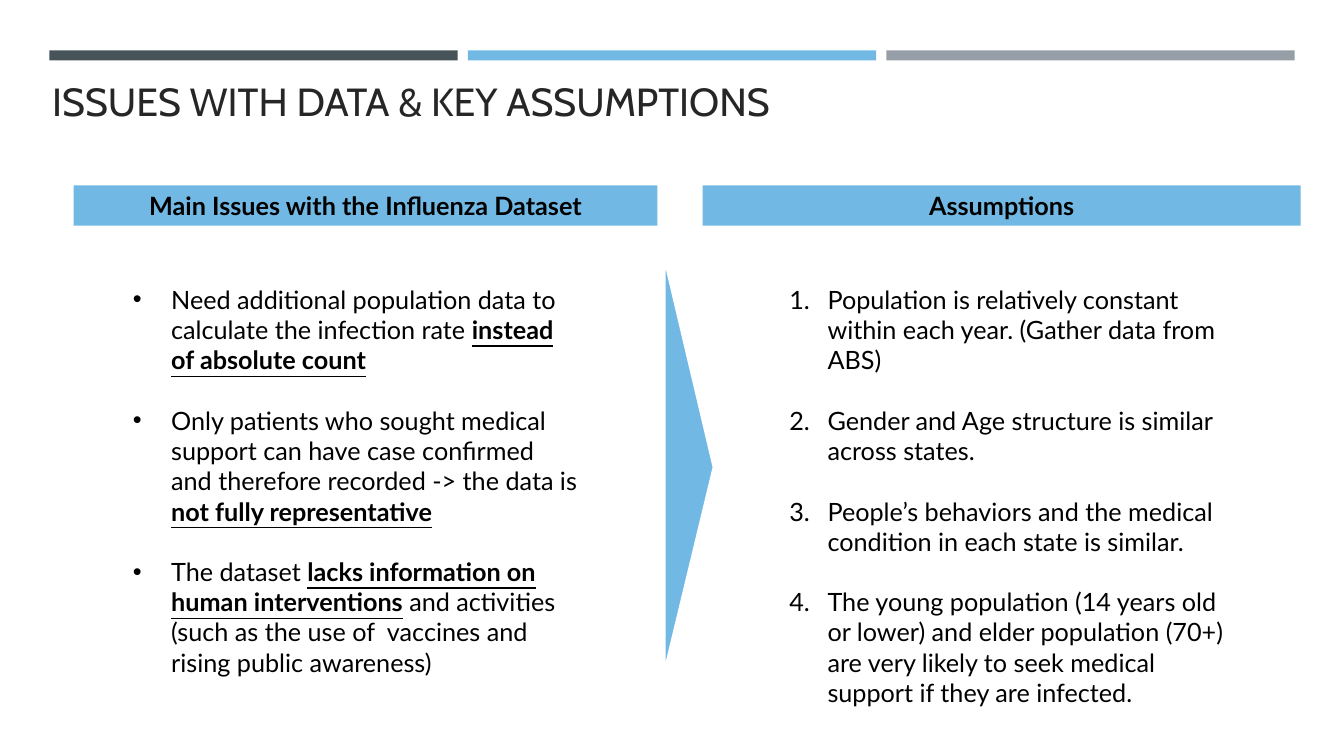
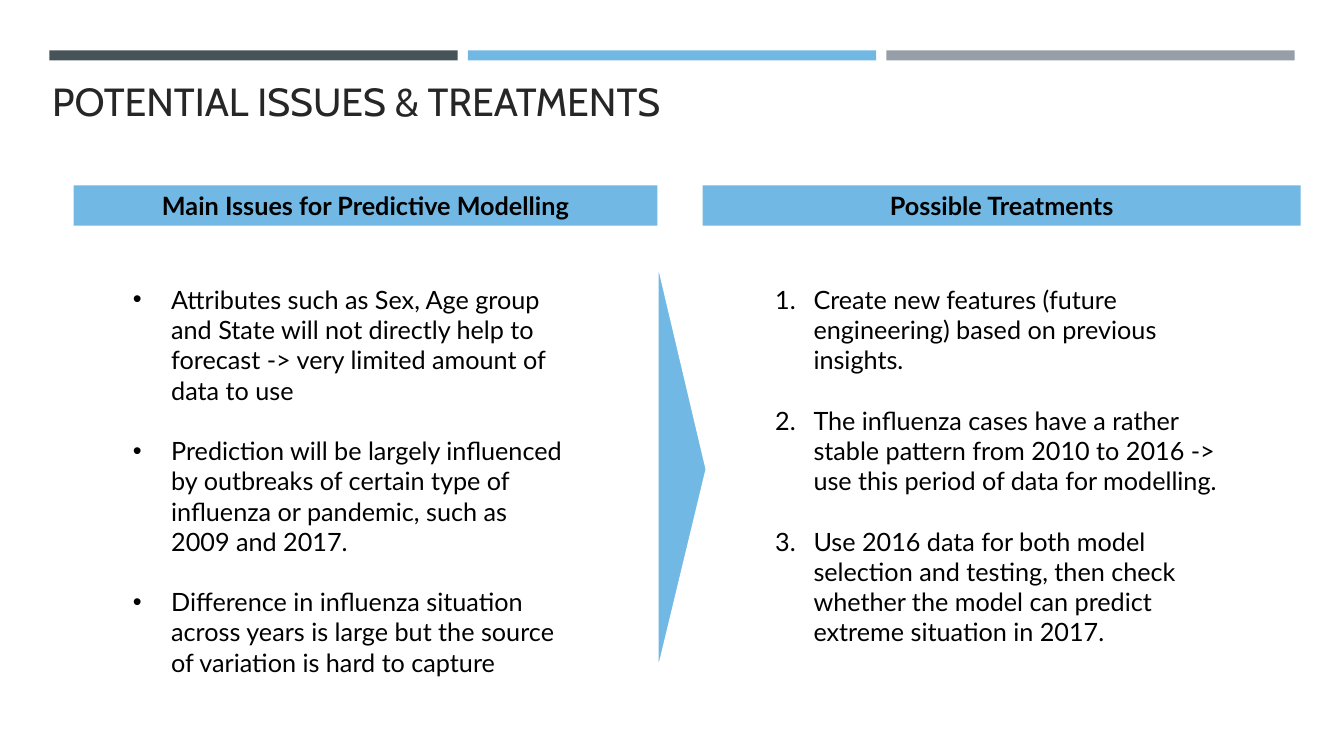
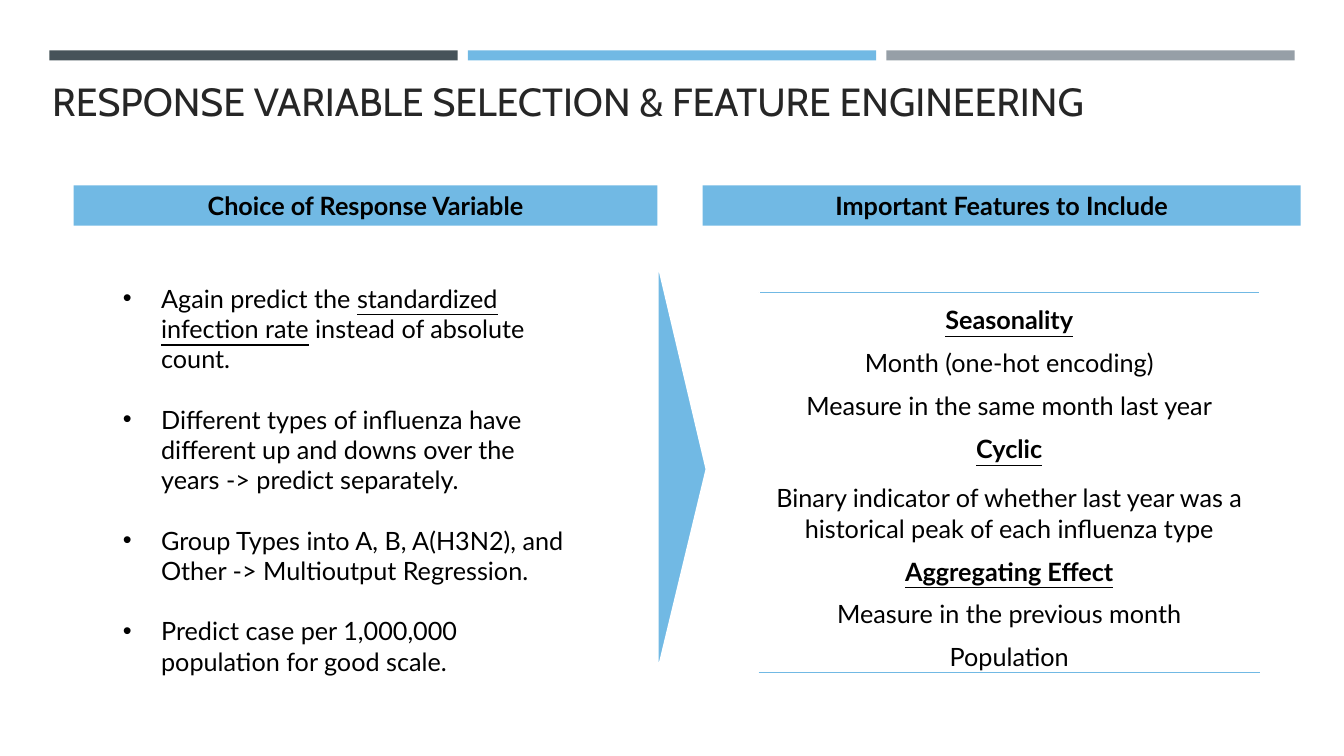
from dataclasses import dataclass

from lxml import etree
from pptx import Presentation
from pptx.dml.color import RGBColor
from pptx.enum.shapes import MSO_SHAPE
from pptx.enum.text import MSO_ANCHOR, PP_ALIGN
from pptx.oxml.ns import qn
from pptx.shapes.autoshape import Shape
from pptx.slide import Slide
from pptx.table import _Cell
from pptx.text.text import _Paragraph, _Run
from pptx.util import Inches, Pt

RECTANGLE = MSO_SHAPE.RECTANGLE
TRIANGLE = MSO_SHAPE.ISOSCELES_TRIANGLE
TOP, MIDDLE, BOTTOM = MSO_ANCHOR.TOP, MSO_ANCHOR.MIDDLE, MSO_ANCHOR.BOTTOM
LEFT, CENTER = PP_ALIGN.LEFT, PP_ALIGN.CENTER

TITLE_FONT, BODY_FONT = "Cabin", "Lato"
SLATE, BLUE, GREY = "465359", "71B9E4", "969FA7"
WHITE, BLACK, TITLE_COLOUR = "FFFFFF", "000000", "262626"

BAND_LEFT, BAND_TOP, BAND_WIDTH, BAND_HEIGHT, BAND_STEP = 0.49, 0.5, 4.05, 0.1, 4.15
HEADER_TOP, HEADER_HEIGHT = 1.84, 0.4
ARROW_WIDTH, ARROW_HEIGHT = 4.11, 0.49
LIST_INDENT = 0.38
ITEM_GAP = 21.6


@dataclass(frozen=True)
class Box:
    left: float
    top: float
    width: float
    height: float


@dataclass(frozen=True)
class Span:
    text: str
    bold: bool = False
    underline: bool = False


@dataclass(frozen=True)
class ItemList:
    box: Box
    items: list[list[Span]]
    numbered: bool = False


@dataclass(frozen=True)
class FeatureTable:
    box: Box
    rows: list[Span]
    tall_row: int
    tall_height: float


@dataclass(frozen=True)
class Page:
    title: str
    left_header: str
    right_header: str
    arrow_left: float
    arrow_top: float
    left_list: ItemList
    right_content: ItemList | FeatureTable


def colour(value: str) -> RGBColor:
    return RGBColor.from_string(value)


def plain(*texts: str) -> list[list[Span]]:
    return [[Span(text)] for text in texts]


def strong(text: str) -> Span:
    return Span(text, bold=True, underline=True)


def format_run(run: _Run, span: Span, size: float = 18,
               font: str = BODY_FONT, ink: str = BLACK) -> None:
    run.font.name = font
    run.font.size = Pt(size)
    run.font.bold = span.bold
    run.font.underline = span.underline
    run.font.color.rgb = colour(ink)


def add_block(slide: Slide, box: Box, fill: str, preset: MSO_SHAPE = RECTANGLE) -> Shape:
    shape = slide.shapes.add_shape(preset, Inches(box.left), Inches(box.top),
                                   Inches(box.width), Inches(box.height))
    shape.shadow.inherit = False
    shape.fill.solid()
    shape.fill.fore_color.rgb = colour(fill)
    shape.line.fill.background()
    return shape


def add_text_box(slide: Slide, box: Box, anchor: MSO_ANCHOR) -> Shape:
    shape = slide.shapes.add_textbox(Inches(box.left), Inches(box.top),
                                     Inches(box.width), Inches(box.height))
    shape.text_frame.word_wrap = True
    shape.text_frame.vertical_anchor = anchor
    return shape


def add_frame(slide: Slide, title: str) -> None:
    for index, fill in enumerate((SLATE, BLUE, GREY)):
        left = BAND_LEFT + index * BAND_STEP
        add_block(slide, Box(left, BAND_TOP, BAND_WIDTH, BAND_HEIGHT), fill)
    shape = add_text_box(slide, Box(0.42, 0.69, 12.06, 0.59), BOTTOM)
    shape.text_frame.text = title
    format_run(shape.text_frame.paragraphs[0].runs[0], Span(title), 28,
               TITLE_FONT, TITLE_COLOUR)


def add_header(slide: Slide, left: float, width: float, text: str) -> None:
    shape = add_block(slide, Box(left, HEADER_TOP, width, HEADER_HEIGHT), BLUE)
    shape.text_frame.word_wrap = True
    shape.text_frame.vertical_anchor = MIDDLE
    shape.text_frame.text = text
    paragraph = shape.text_frame.paragraphs[0]
    paragraph.alignment = CENTER
    format_run(paragraph.runs[0], Span(text, bold=True))


def add_arrow(slide: Slide, left: float, top: float) -> None:
    arrow = add_block(slide, Box(left, top, ARROW_WIDTH, ARROW_HEIGHT), BLUE, TRIANGLE)
    arrow.adjustments[0] = 0.505
    arrow.rotation = 90
    arrow.line.color.rgb = colour(WHITE)
    arrow.line.width = Pt(1.75)


def set_marker(paragraph: _Paragraph, numbered: bool) -> None:
    properties = paragraph._p.get_or_add_pPr()
    properties.set("marL", str(Inches(LIST_INDENT)))
    properties.set("indent", str(-Inches(LIST_INDENT)))
    if numbered:
        etree.SubElement(properties, qn("a:buFont"), typeface="+mj-lt")
        etree.SubElement(properties, qn("a:buAutoNum"), type="arabicPeriod")
    else:
        etree.SubElement(properties, qn("a:buFont"), typeface="Arial")
        etree.SubElement(properties, qn("a:buChar"), char="•")


def add_list(slide: Slide, item_list: ItemList) -> None:
    text_frame = add_text_box(slide, item_list.box, TOP).text_frame
    for index, spans in enumerate(item_list.items):
        paragraph = text_frame.add_paragraph() if index else text_frame.paragraphs[0]
        paragraph.alignment = LEFT
        if index:
            paragraph.space_before = Pt(ITEM_GAP)
        set_marker(paragraph, item_list.numbered)
        for span in spans:
            run = paragraph.add_run()
            run.text = span.text
            format_run(run, span)


def set_border(cell: _Cell, side: str) -> None:
    border = etree.Element(qn(f"a:{side}"), w=str(Pt(1)))
    fill = etree.SubElement(border, qn("a:solidFill"))
    etree.SubElement(fill, qn("a:srgbClr"), val=BLUE)
    cell._tc.get_or_add_tcPr().insert(0, border)


def add_feature_table(slide: Slide, content: FeatureTable) -> None:
    box, count = content.box, len(content.rows)
    table = slide.shapes.add_table(count, 1, Inches(box.left), Inches(box.top),
                                   Inches(box.width), Inches(box.height)).table
    table.first_row = False
    table.horz_banding = False
    row_height = (box.height - content.tall_height) / (count - 1)
    for index, span in enumerate(content.rows):
        tall = index == content.tall_row
        table.rows[index].height = Inches(content.tall_height if tall else row_height)
        cell = table.cell(index, 0)
        cell.fill.background()
        cell.vertical_anchor = BOTTOM
        cell.margin_left = cell.margin_right = cell.margin_top = Inches(0.01)
        cell.margin_bottom = Inches(0)
        cell.text_frame.text = span.text
        paragraph = cell.text_frame.paragraphs[0]
        paragraph.alignment = CENTER
        format_run(paragraph.runs[0], span)
    set_border(table.cell(0, 0), "lnT")
    set_border(table.cell(count - 1, 0), "lnB")


def add_page(presentation: Presentation, page: Page) -> None:
    slide = presentation.slides.add_slide(presentation.slide_layouts[6])
    add_frame(slide, page.title)
    add_header(slide, 0.73, 5.79, page.left_header)
    add_header(slide, 6.97, 5.93, page.right_header)
    add_arrow(slide, page.arrow_left, page.arrow_top)
    add_list(slide, page.left_list)
    if isinstance(page.right_content, FeatureTable):
        add_feature_table(slide, page.right_content)
    else:
        add_list(slide, page.right_content)


PAGES = [
    Page(
        "ISSUES WITH DATA & KEY ASSUMPTIONS",
        "Main Issues with the Influenza Dataset",
        "Assumptions",
        4.78, 4.37,
        ItemList(Box(1.22, 2.77, 4.63, 4.04), [
            [Span("Need additional population data to calculate the infection rate "),
             strong("instead of absolute count")],
            [Span("Only patients who sought medical support can have case confirmed "
                  "and therefore recorded -> the data is "),
             strong("not fully representative")],
            [Span("The dataset "),
             strong("lacks information on human interventions"),
             Span(" and activities (such as the use of  vaccines and rising "
                  "public awareness)")],
        ]),
        ItemList(Box(7.73, 2.77, 4.63, 4.04), plain(
            "Population is relatively constant within each year. (Gather data from ABS)",
            "Gender and Age structure is similar across states.",
            "People’s behaviors and the medical condition in each state is similar.",
            "The young population (14 years old or lower) and elder population (70+) "
            "are very likely to seek medical support if they are infected.",
        ), numbered=True),
    ),
    Page(
        "POTENTIAL ISSUES & TREATMENTS",
        "Main Issues for Predictive Modelling",
        "Possible Treatments",
        4.71, 4.39,
        ItemList(Box(1.22, 2.77, 4.54, 3.74), plain(
            "Attributes such as Sex, Age group and State will not directly help to "
            "forecast -> very limited amount of data to use",
            "Prediction will be largely influenced by outbreaks of certain type of "
            "influenza or pandemic, such as 2009 and 2017.",
            "Difference in influenza situation across years is large but the source of "
            "variation is hard to capture",
        )),
        ItemList(Box(7.59, 2.77, 4.89, 3.74), plain(
            "Create new features (future engineering) based on previous insights.",
            "The influenza cases have a rather stable pattern from 2010 to 2016 -> "
            "use this period of data for modelling.",
            "Use 2016 data for both model selection and testing, then check whether "
            "the model can predict extreme situation in 2017.",
        ), numbered=True),
    ),
    Page(
        "RESPONSE VARIABLE SELECTION & FEATURE ENGINEERING",
        "Choice of Response Variable",
        "Important Features to Include",
        4.71, 4.39,
        ItemList(Box(1.12, 2.76, 4.6, 4.04), [
            [Span("Again predict the "),
             Span("standardized infection rate", underline=True),
             Span(" instead of absolute count.")],
            *plain(
                "Different types of influenza have different up and downs over the "
                "years -> predict separately.",
                "Group Types into A, B, A(H3N2), and Other -> Multioutput Regression.",
                "Predict case per 1,000,000 population for good scale.",
            ),
        ]),
        FeatureTable(Box(7.53, 2.9, 4.96, 3.77), [
            strong("Seasonality"),
            Span("Month (one-hot encoding)"),
            Span("Measure in the same month last year"),
            strong("Cyclic"),
            Span("Binary indicator of whether last year was a historical peak of "
                 "each influenza type"),
            strong("Aggregating Effect"),
            Span("Measure in the previous month"),
            Span("Population"),
        ], tall_row=4, tall_height=0.79),
    ),
]


def main() -> None:
    presentation = Presentation()
    presentation.slide_width = Inches(13.33)
    presentation.slide_height = Inches(7.5)
    for page in PAGES:
        add_page(presentation, page)
    presentation.save("out.pptx")


if __name__ == "__main__":
    main()
